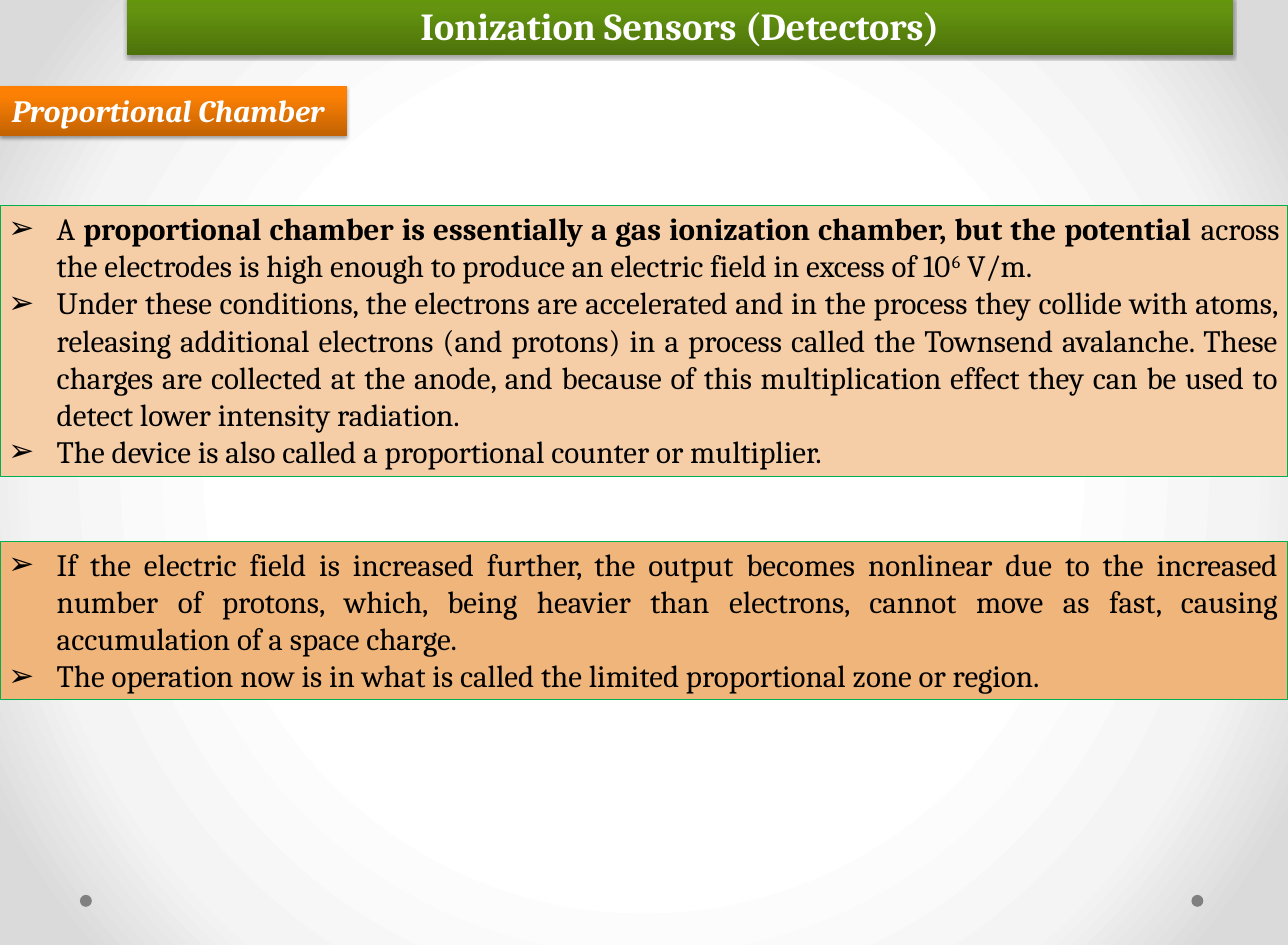
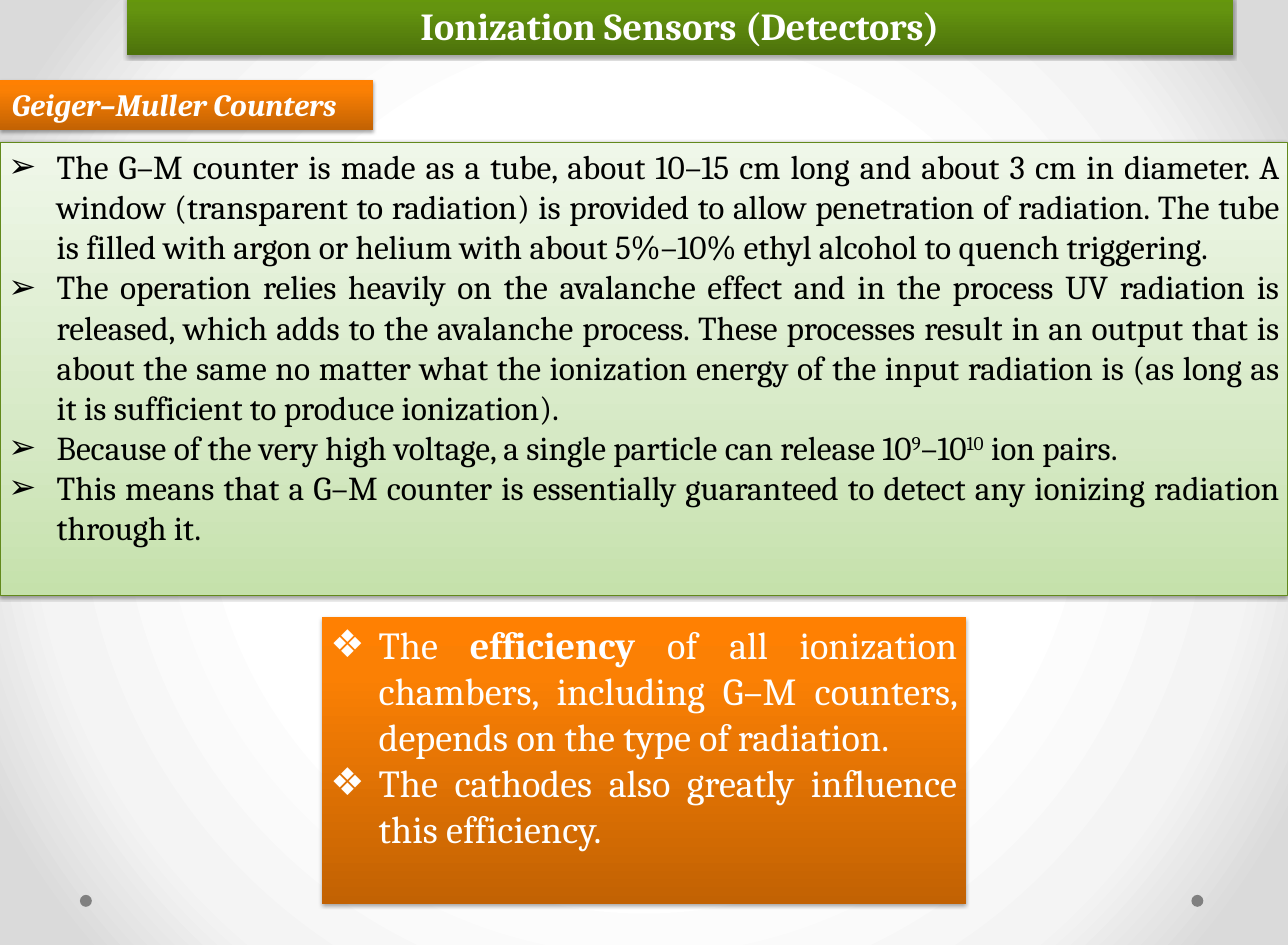
from lxml.etree import SubElement
from pptx import Presentation
from pptx.dml.color import RGBColor
from pptx.enum.shapes import MSO_SHAPE
from pptx.enum.text import MSO_ANCHOR, MSO_AUTO_SIZE, PP_ALIGN
from pptx.oxml.ns import qn
from pptx.util import Pt

PAGE_WIDTH, PAGE_HEIGHT = 1080, 792
FONT = "Cambria"
TITLE = "Ionization Sensors (Detectors)"
TITLE_ONLY = 5

BLACK = RGBColor(0x00, 0x00, 0x00)
WHITE = RGBColor(0xFF, 0xFF, 0xFF)
GREY = RGBColor(0x80, 0x80, 0x80)
PEACH = RGBColor(0xF5, 0xCE, 0xA7)
APRICOT = RGBColor(0xF0, 0xB5, 0x7A)
GREEN = RGBColor(0x00, 0xB0, 0x50)
OLIVE = RGBColor(0x62, 0x89, 0x1C)

# Gradients: (position in percent, colour)
PAGE_GRADIENT = [(50, WHITE), (76, RGBColor(0xF4, 0xF4, 0xF4)),
                 (92, RGBColor(0xDA, 0xDA, 0xDA))]
GREEN_BAND = [(0, RGBColor(0x4D, 0x72, 0x0B)), (80, RGBColor(0x64, 0x94, 0x0F)),
              (100, RGBColor(0x65, 0x97, 0x0C))]
ORANGE_BAND = [(0, RGBColor(0xC2, 0x62, 0x03)), (80, RGBColor(0xFB, 0x80, 0x04)),
               (100, RGBColor(0xFF, 0x80, 0x02))]
PALE_GREEN = [(0, RGBColor(0xC5, 0xE1, 0xAB)), (35, RGBColor(0xD6, 0xE9, 0xC5)),
              (100, RGBColor(0xEF, 0xF7, 0xE9))]

# Run styles
PLAIN, BOLD, RAISED = "plain", "bold", "raised"


def set_gradient(fill, parent, stops, circular=False):
    """Replace the solid fill under parent with a gradient."""
    fill.solid()
    solid = parent.find(qn("a:solidFill"))
    gradient = SubElement(parent, qn("a:gradFill"), rotWithShape="1")
    stop_list = SubElement(gradient, qn("a:gsLst"))
    for position, colour in stops:
        stop = SubElement(stop_list, qn("a:gs"), pos=str(position * 1000))
        SubElement(stop, qn("a:srgbClr"), val=str(colour))
    if circular:
        path = SubElement(gradient, qn("a:path"), path="circle")
        SubElement(path, qn("a:fillToRect"), l="50000", t="50000", r="50000", b="50000")
    else:
        SubElement(gradient, qn("a:lin"), ang="16200000", scaled="0")
    parent.replace(solid, gradient)


def add_shadow(shape, opacity):
    effects = shape.element.spPr.find(qn("a:effectLst"))
    shadow = SubElement(effects, qn("a:outerShdw"), blurRad=str(Pt(3.1)),
                        dist=str(Pt(1.8)), dir="5400000", rotWithShape="0")
    colour = SubElement(shadow, qn("a:srgbClr"), val=str(BLACK))
    SubElement(colour, qn("a:alpha"), val=str(opacity * 1000))


def style_shape(shape, fill, line=None, shadow=None):
    """A list of stops gives a gradient; a single colour gives a flat fill."""
    if isinstance(fill, list):
        set_gradient(shape.fill, shape.element.spPr, fill)
    else:
        shape.fill.solid()
        shape.fill.fore_color.rgb = fill
    if line is None:
        shape.line.fill.background()
    else:
        shape.line.color.rgb = line
        shape.line.width = Pt(0.75)
    shape.shadow.inherit = False
    if shadow:
        add_shadow(shape, shadow)


def add_block(page, box, kind=MSO_SHAPE.RECTANGLE):
    return page.shapes.add_shape(kind, *(Pt(length) for length in box))


def prepare_frame(shape, side, top):
    frame = shape.text_frame
    frame.word_wrap = True
    frame.auto_size = MSO_AUTO_SIZE.NONE
    frame.vertical_anchor = MSO_ANCHOR.TOP
    frame.margin_left = frame.margin_right = Pt(side)
    frame.margin_top = frame.margin_bottom = Pt(top)
    return frame


def add_span(para, text, size, colour, bold=False, italic=False):
    span = para.add_run()
    span.text = text
    span.font.name = FONT
    span.font.size = Pt(size)
    span.font.color.rgb = colour
    span.font.bold = bold
    span.font.italic = italic
    return span


def set_bullet(para, symbol, indent):
    properties = para._p.get_or_add_pPr()
    properties.set("marL", str(Pt(indent)))
    properties.set("indent", str(-Pt(indent)))
    SubElement(properties, qn("a:buFont"), typeface="Arial")
    SubElement(properties, qn("a:buChar"), char=symbol)


# Green band with the title
def place_title(page, box):
    title = page.shapes.title
    title.left, title.top, title.width, title.height = (Pt(length) for length in box)
    style_shape(title, GREEN_BAND, shadow=35)
    para = prepare_frame(title, 10, 5).paragraphs[0]
    para.alignment = PP_ALIGN.CENTER
    add_span(para, TITLE, 32, WHITE, bold=True)


# Orange tab that names the topic
def add_topic(page, box, text):
    tab = add_block(page, box)
    style_shape(tab, ORANGE_BAND, shadow=35)
    para = prepare_frame(tab, 10, 5).paragraphs[0]
    para.alignment = PP_ALIGN.LEFT
    add_span(para, text, 26, WHITE, bold=True, italic=True)


# Panel of justified bullets
def add_panel(page, box, items, fill, size, line=None, shadow=None,
              colour=BLACK, symbol="➢"):
    panel = add_block(page, box)
    style_shape(panel, fill, line, shadow)
    frame = prepare_frame(panel, 7.2, 3.6)
    for number, item in enumerate(items):
        para = frame.add_paragraph() if number else frame.paragraphs[0]
        para.alignment = PP_ALIGN.JUSTIFY
        set_bullet(para, symbol, 40.5)
        for text, style in item:
            span = add_span(para, text, size, colour, bold=style == BOLD)
            if style == RAISED:
                span._r.get_or_add_rPr().set("baseline", "30000")


# Footer dots near both lower corners
def add_dots(page, box):
    left, top, width, size = box
    for dot_left in (left, left + width - size):
        dot = add_block(page, (dot_left, top, size, size), MSO_SHAPE.OVAL)
        style_shape(dot, GREY)


def add_page(deck, topic, topic_box):
    page = deck.slides.add_slide(deck.slide_layouts[TITLE_ONLY])
    add_dots(page, (67, 750, 942, 10))
    place_title(page, (106.5, -3, 927.5, 49))
    add_topic(page, topic_box, topic)
    return page


def add_proportional_page(deck):
    page = add_page(deck, "Proportional Chamber", (0, 72, 291, 42))
    add_panel(page, (0, 172, PAGE_WIDTH, 227.5), [
        [("A ", PLAIN),
         ("proportional chamber is essentially a gas ionization chamber, "
          "but the potential ", BOLD),
         ("across the electrodes is high enough to produce an electric field "
          "in excess of 10", PLAIN), ("6", RAISED), (" V/m.", PLAIN)],
        [("Under these conditions, the electrons are accelerated and in the process "
          "they collide with atoms, releasing additional electrons (and protons) in a "
          "process called the Townsend avalanche. These charges are collected at the "
          "anode, and because of this multiplication effect they can be used to detect "
          "lower intensity radiation.", PLAIN)],
        [("The device is also called a proportional counter or multiplier.", PLAIN)],
    ], PEACH, 26, line=GREEN)
    add_panel(page, (0, 453.5, PAGE_WIDTH, 133), [
        [("If the electric field is increased further, the output becomes nonlinear due "
          "to the increased number of protons, which, being heavier than electrons, "
          "cannot move as fast, causing accumulation of a space charge.", PLAIN)],
        [("The operation now is in what is called the limited proportional zone "
          "or region.", PLAIN)],
    ], APRICOT, 26, line=GREEN)


def add_counter_page(deck):
    page = add_page(deck, "Geiger–Muller Counters", (0, 67, 313, 42))
    add_panel(page, (0, 119, PAGE_WIDTH, 380), [
        [("The G–M counter is made as a tube, about 10–15 cm long and about 3 cm in "
          "diameter. A window (transparent to radiation) is provided to allow "
          "penetration of radiation. The tube is filled with argon or helium with "
          "about 5%–10% ethyl alcohol to quench triggering.", PLAIN)],
        [("The operation relies heavily on the avalanche effect and in the process UV "
          "radiation is released, which adds to the avalanche process. These processes "
          "result in an output that is about the same no matter what the ionization "
          "energy of the input radiation is (as long as it is sufficient to produce "
          "ionization).", PLAIN)],
        [("Because of the very high voltage, a single particle can release 10", PLAIN),
         ("9", RAISED), ("–10", PLAIN), ("10", RAISED), (" ion pairs.", PLAIN)],
        [("This means that a G–M counter is essentially guaranteed to detect any "
          "ionizing radiation through it.", PLAIN)],
    ], PALE_GREEN, 28, line=OLIVE, shadow=38)
    add_panel(page, (270, 517.5, 540, 240), [
        [("The ", PLAIN), ("efficiency", BOLD),
         (" of all ionization chambers, including G–M counters, depends on the type "
          "of radiation.", PLAIN)],
        [("The cathodes also greatly influence this efficiency.", PLAIN)],
    ], ORANGE_BAND, 32, shadow=35, colour=WHITE, symbol="❖")


def main():
    deck = Presentation()
    deck.slide_width, deck.slide_height = Pt(PAGE_WIDTH), Pt(PAGE_HEIGHT)
    # Shared background on the master
    master = deck.slide_master
    fill = master.background.fill
    fill.solid()
    set_gradient(fill, master.element.find(".//" + qn("p:bgPr")), PAGE_GRADIENT,
                 circular=True)
    add_proportional_page(deck)
    add_counter_page(deck)
    deck.save("out.pptx")


if __name__ == "__main__":
    main()
